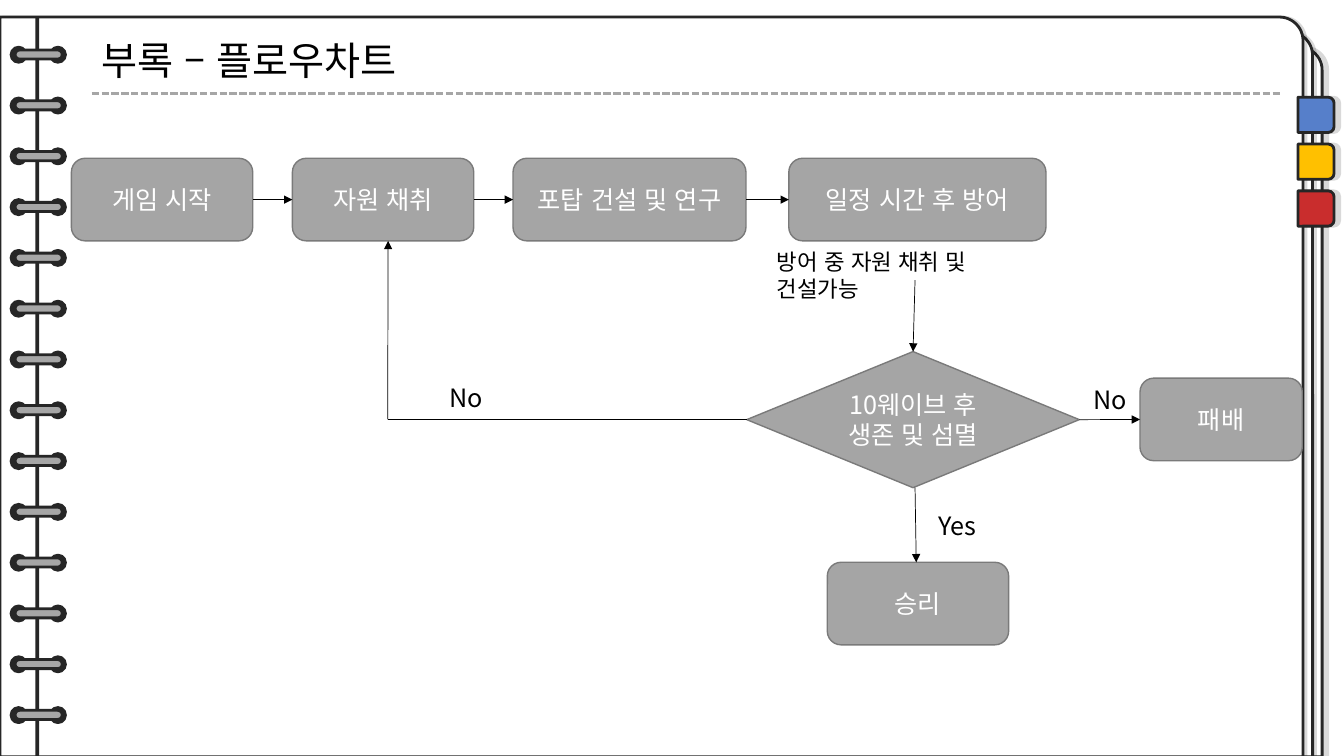
from dataclasses import dataclass

from lxml import etree
from pptx import Presentation
from pptx.dml import color
from pptx.enum import dml, lang, shapes, text
from pptx.oxml import ns
from pptx.util import Cm, Pt

SHAPE = shapes.MSO_SHAPE
LEFT, RIGHT = 1, 3


@dataclass(frozen=True)
class Theme:
    """Colours, font and type sizes of the slide."""
    font: str = "Noto Sans CJK KR"
    ink: str = "262626"
    black: str = "000000"
    white: str = "FFFFFF"
    ring: str = "A6A6A6"
    step: str = "A5A5A5"
    step_edge: str = "7A7A7A"
    tabs: tuple = ("567FCA", "FFC000", "C92D2D")
    title_size: int = 28
    step_size: int = 18
    note_size: int = 16


THEME = Theme()


def rgb(value):
    """Turn a hex string into a colour."""
    return color.RGBColor.from_string(value)


def apply(target, formats):
    """Set each attribute named in formats on target."""
    for name, value in formats.items():
        setattr(target, name, value)


def child(parent, tag, **attributes):
    """Append a DrawingML element to parent."""
    return etree.SubElement(parent, ns.qn(tag), attributes)


def write(frame, content, size, tint, align=text.PP_ALIGN.LEFT):
    """Fill a text frame, one paragraph for each line of content."""
    frame.text = content
    for paragraph in frame.paragraphs:
        paragraph.alignment = align
        for run in paragraph.runs:
            apply(run.font, {"size": Pt(size), "name": THEME.font,
                             "language_id": lang.MSO_LANGUAGE_ID.KOREAN})
            run.font.color.rgb = rgb(tint)
            child(run.font._element, "a:ea", typeface=THEME.font)


def add_shape(slide, kind, box, fill, edge=THEME.ink, width=2):
    """Draw a filled preset shape without shadow; box is in centimetres."""
    shape = slide.shapes.add_shape(kind, *map(Cm, box))
    shape.shadow.inherit = False
    shape.fill.solid()
    shape.fill.fore_color.rgb = rgb(fill)
    shape.line.color.rgb = rgb(edge)
    shape.line.width = Pt(width)
    return shape


def cast_shadow(shape, distance):
    """Give a shape a faint hard shadow to its right."""
    effects = shape.element.spPr.find(ns.qn("a:effectLst"))
    shadow = child(effects, "a:outerShdw", blurRad="0",
                   dist=str(Pt(distance)), dir="0", algn="l", rotWithShape="0")
    tint = child(shadow, "a:srgbClr", val=THEME.black)
    child(tint, "a:alpha", val="15000")


def add_line(slide, ends, tint=THEME.black, width=0.5, arrow=False):
    """Draw a straight line between two points in centimetres."""
    line = slide.shapes.add_connector(
        shapes.MSO_CONNECTOR.STRAIGHT, *map(Cm, ends))
    line.line.color.rgb = rgb(tint)
    line.line.width = Pt(width)
    child(line.element.spPr, "a:effectLst")
    if arrow:
        child(line.line._get_or_add_ln(), "a:tailEnd", type="triangle")
    return line


def add_link(slide, source, source_side, target, target_side):
    """Glue an arrow between the sides of two steps."""
    arrow = add_line(slide, (0, 0, 0, 0), arrow=True)
    arrow.begin_connect(source, source_side)
    arrow.end_connect(target, target_side)


def add_step(slide, kind, box, content):
    """Draw a flowchart step with centred text."""
    step = add_shape(slide, kind, box, THEME.step, THEME.step_edge, 1)
    write(step.text_frame, content, THEME.step_size, THEME.white,
          text.PP_ALIGN.CENTER)
    step.text_frame.vertical_anchor = text.MSO_ANCHOR.MIDDLE
    return step


def add_label(slide, box, content, size, wrap=False):
    """Place black text beside an arrow."""
    label = slide.shapes.add_textbox(*map(Cm, box))
    label.text_frame.word_wrap = wrap
    write(label.text_frame, content, size, THEME.black)


def add_notebook(slide):
    """Draw the stacked pages, binding rings and coloured tabs."""
    for depth, shadow in ((2, 4), (1, 2), (0, 2)):
        top = 0.43 + 0.38 * depth
        page = add_shape(slide, SHAPE.ROUND_1_RECTANGLE,
                         (0, top, 32.84 + 0.24 * depth, 19.07 - top),
                         THEME.white)
        page.adjustments[0] = 0.032
        cast_shadow(page, shadow)
    spine = add_shape(slide, SHAPE.RECTANGLE, (0.89, 0.43, 0.1, 18.64), THEME.ink)
    spine.line.fill.background()
    for ring in range(14):
        top = 1.19 + 1.28 * ring
        for left in (0.28, 1.27):
            add_shape(slide, SHAPE.OVAL, (left, top, 0.38, 0.38), THEME.ink)
        bar = add_shape(slide, SHAPE.ROUNDED_RECTANGLE,
                        (0.38, top + 0.07, 1.19, 0.23), THEME.ring)
        bar.adjustments[0] = 0.5
    rule = add_line(slide, (2.31, 2.36, 32.31, 2.36), THEME.ring, 1.75)
    rule.line.dash_style = dml.MSO_LINE.SQUARE_DOT
    for row, fill in enumerate(THEME.tabs):
        tab = add_shape(slide, SHAPE.ROUND_2_SAME_RECTANGLE,
                        (32.72, 2.44 + 1.18 * row, 0.89, 0.91), fill)
        tab.rotation = 90
        cast_shadow(tab, 4)


def add_title(slide, content):
    """Move the title placeholder above the notebook and fill it."""
    title = slide.shapes.title
    apply(title, {"left": Cm(2.31), "top": Cm(0.79),
                  "width": Cm(13.64), "height": Cm(1.45)})
    apply(title.text_frame, {"vertical_anchor": text.MSO_ANCHOR.TOP,
                             "auto_size": text.MSO_AUTO_SIZE.NONE})
    write(title.text_frame, content, THEME.title_size, THEME.black)
    title.element.getparent().append(title.element)


def add_flowchart(slide):
    """Draw the steps, their arrows and labels."""
    row = [add_step(slide, SHAPE.ROUNDED_RECTANGLE, (left, 3.99, width, 2.08), name)
           for left, width, name in ((1.8, 4.57, "게임 시작"),
                                     (7.37, 4.57, "자원 채취"),
                                     (12.93, 5.87, "포탑 건설 및 연구"),
                                     (19.88, 6.48, "일정 시간 후 방어"))]
    survival = add_step(slide, SHAPE.DIAMOND, (18.82, 8.86, 8.38, 3.43),
                        "10웨이브 후\n생존 및 섬멸")
    add_step(slide, SHAPE.ROUNDED_RECTANGLE, (20.85, 14.17, 4.57, 2.08), "승리")
    defeat = add_step(slide, SHAPE.ROUNDED_RECTANGLE,
                      (28.73, 9.53, 4.09, 2.08), "패배")
    for source, target in [*zip(row, row[1:]), (survival, defeat)]:
        add_link(slide, source, RIGHT, target, LEFT)
    for ends in ((23.06, 12.29, 23.09, 14.17),
                 (23.06, 7.06, 23.01, 8.86),
                 (9.77, 10.57, 9.78, 6.07)):
        add_line(slide, ends, arrow=True)
    add_line(slide, (18.83, 10.57, 9.77, 10.57))
    for left, top, width, answer in ((11.07, 9.5, 1.5, "No"),
                                     (27.31, 9.55, 1.5, "No"),
                                     (23.39, 12.73, 2, "Yes")):
        add_label(slide, (left, top, width, 1.02), answer, THEME.step_size)
    add_label(slide, (19.33, 6.12, 6.4, 1.6), "방어 중 자원 채취 및 건설가능",
              THEME.note_size, wrap=True)


def main():
    """Build the flowchart slide and save it."""
    deck = Presentation()
    apply(deck, {"slide_width": Cm(33.87), "slide_height": Cm(19.05)})
    slide = deck.slides.add_slide(deck.slide_layouts.get_by_name("Title Only"))
    add_notebook(slide)
    add_title(slide, "부록 – 플로우차트")
    add_flowchart(slide)
    deck.save("out.pptx")


if __name__ == "__main__":
    main()
